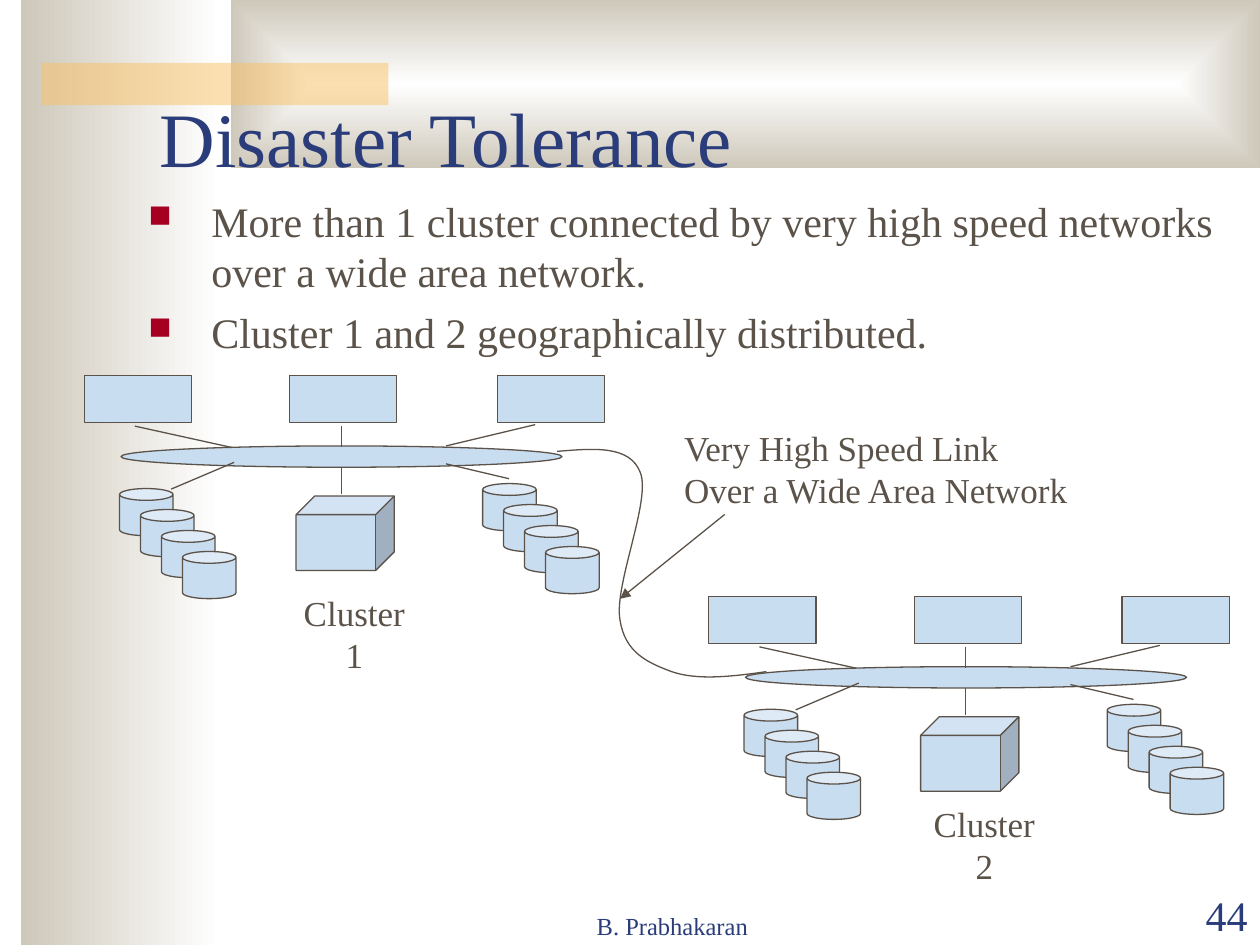
from lxml import etree
from pptx import Presentation
from pptx.dml.color import RGBColor
from pptx.enum.shapes import MSO_CONNECTOR, MSO_SHAPE
from pptx.enum.text import MSO_ANCHOR, MSO_AUTO_SIZE, PP_ALIGN
from pptx.oxml.ns import qn
from pptx.util import Cm, Pt

RECT, OVAL = MSO_SHAPE.RECTANGLE, MSO_SHAPE.OVAL
CAN, CUBE = MSO_SHAPE.CAN, MSO_SHAPE.CUBE
STRAIGHT = MSO_CONNECTOR.STRAIGHT
TOP, MIDDLE, BOTTOM = MSO_ANCHOR.TOP, MSO_ANCHOR.MIDDLE, MSO_ANCHOR.BOTTOM
LEFT, CENTER, RIGHT = PP_ALIGN.LEFT, PP_ALIGN.CENTER, PP_ALIGN.RIGHT
FONT = "Times New Roman"
HUES = {"white": "FFFFFF", "sand": "CEC8BA", "gold": "FAC164", "navy": "2A3D7A",
        "brown": "5B5249", "sky": "C9DDF1", "red": "A50021"}


def hue(name):
    """Return the named colour."""
    return RGBColor.from_string(HUES[name])


def sub(parent, tag, **attrs):
    """Add an XML child with the given attributes."""
    return etree.SubElement(parent, qn(tag), attrs)


def style(para, size, color, align):
    """Set the font and alignment of a paragraph."""
    para.alignment = align
    para.font.name, para.font.size = FONT, Pt(size)
    para.font.color.rgb = hue(color)


def write(slide, box, lines, size, color="brown", align=LEFT, anchor=MIDDLE, wrap=False):
    """Add a text box with one paragraph for each line."""
    frame = slide.shapes.add_textbox(*map(Cm, box)).text_frame
    frame.word_wrap, frame.vertical_anchor = wrap, anchor
    frame.text = "\n".join(lines)
    for para in frame.paragraphs:
        style(para, size, color, align)
    return frame


def block(slide, kind, x, y, w, h, fill="sky", edge="brown"):
    """Add a flat preset shape, outlined if an edge colour is given."""
    shape = slide.shapes.add_shape(kind, Cm(x), Cm(y), Cm(w), Cm(h))
    shape.shadow.inherit = False
    shape.fill.solid()
    shape.fill.fore_color.rgb = hue(fill)
    if edge:
        shape.line.color.rgb, shape.line.width = hue(edge), Pt(0.75)
    else:
        shape.line.fill.background()
    return shape


def wire(slide, x1, y1, x2, y2):
    """Add a thin straight line."""
    line = slide.shapes.add_connector(STRAIGHT, Cm(x1), Cm(y1), Cm(x2), Cm(y2))
    line.line.color.rgb, line.line.width = hue("brown"), Pt(0.75)
    sub(line._element.spPr, "a:effectLst")
    return line


def fade(shape, angle):
    """Fill a shape with white turning to sand."""
    shape.fill.gradient()
    shape.fill.gradient_angle = angle
    for stop, place, name in zip(shape.fill.gradient_stops, (0, 1), ("white", "sand")):
        stop.position, stop.color.rgb = place, hue(name)


def decor(slide):
    """Draw the side band, the header band and the gold bar."""
    fade(block(slide, RECT, 0.43, 0, 4.01, 19.05, edge=None), 180)
    head = block(slide, RECT, 4.65, 0, 20.75, 3.39, edge=None)
    fade(head, 0)
    grad = head._element.spPr.find(qn("a:gradFill"))
    grad.remove(grad.find(qn("a:lin")))
    sub(sub(grad, "a:path", path="rect"), "a:fillToRect",
        l="50000", t="50000", r="50000", b="50000")
    bar = block(slide, RECT, 0.84, 1.27, 6.99, 0.85, "gold", None)
    sub(bar._element.spPr.find(".//" + qn("a:srgbClr")), "a:alpha", val="50000")


def heading(slide, box, text):
    """Place and format the title in front of the bands."""
    title = slide.shapes.title
    title.left, title.top, title.width, title.height = map(Cm, box)
    frame = title.text_frame
    frame.text = text
    frame.auto_size, frame.vertical_anchor = MSO_AUTO_SIZE.NONE, BOTTOM
    style(frame.paragraphs[0], 44, "navy", LEFT)
    slide.shapes._spTree.append(title._element)


def points(slide, box, lines):
    """Write the bulleted points."""
    frame = write(slide, box, lines, 24, anchor=TOP, wrap=True)
    for i, para in enumerate(frame.paragraphs):
        props = para._p.get_or_add_pPr()
        props.set("marL", str(Cm(1.27)))
        props.set("indent", str(-Cm(1.27)))
        marks = [etree.Element(qn(tag)) for tag in ("a:buClr", "a:buSzPct", "a:buChar")]
        sub(marks[0], "a:srgbClr", val=HUES["red"])
        marks[1].set("val", "75000")
        marks[2].set("char", "■")
        for place, mark in enumerate(marks):
            props.insert(place, mark)
        if i:
            para.space_before = Pt(6)


def cluster(slide, x, y, name, dx, dy):
    """Draw hosts, network ring, disks and storage from a top left corner."""
    for left, top in ((0.71, 2.28), (8.03, 2.18)):
        for i in range(4):
            step = 0.423 * i
            block(slide, CAN, x + left + step, y + top + step, 1.08, 0.95)
    block(slide, CUBE, x + 4.27, y + 2.43, 1.98, 1.5)
    block(slide, OVAL, x + 0.74, y + 1.42, 8.89, 0.43)
    for left in (0, 4.14, 8.33):
        block(slide, RECT, x + left, y, 2.16, 0.95)
    for x1, y1, x2, y2 in ((1.02, 1.02, 2.97, 1.45), (9.09, 0.99, 7.29, 1.42),
                           (5.18, 1.02, 5.18, 1.45), (1.75, 2.29, 3.02, 1.75),
                           (5.18, 2.39, 5.18, 1.85), (8.56, 2.08, 7.29, 1.78)):
        wire(slide, x + x1, y + y1, x + x2, y + y2)
    write(slide, (x + dx, y + dy, 3.07, 1.12), [name], 20, align=CENTER)


def curve(slide, x, y, knots):
    """Draw an open curve through cubic knots, three to a segment."""
    spots = [(Cm(x + a), Cm(y + b)) for a, b in knots]
    pen = slide.shapes.build_freeform(*spots[0])
    pen.add_line_segments(spots[1:], close=False)
    shape = pen.convert_to_shape()
    shape.shadow.inherit = False
    shape.fill.background()
    shape.line.color.rgb, shape.line.width = hue("brown"), Pt(0.75)
    track = shape._element.find(".//" + qn("a:path"))
    legs = track.findall(qn("a:lnTo"))
    for i in range(0, len(legs), 3):
        bend = sub(track, "a:cubicBezTo")
        for leg in legs[i:i + 3]:
            bend.append(leg[0])
            track.remove(leg)


def link(slide, x, y):
    """Draw the wide area link with its label and arrow."""
    curve(slide, x, y, ((0, 0.64), (0.74, 0.58), (1.47, 0.51), (1.68, 1.07),
                        (1.9, 1.63), (1.14, 3.35), (1.27, 4.04),
                        (1.37, 4.7), (1.83, 4.9), (2.31, 5.08),
                        (2.82, 5.26), (3.53, 5.18), (4.22, 5.08)))
    write(slide, (x + 2.31, y, 8.31, 1.96),
          ["Very High Speed Link", "Over a Wide Area Network"], 20)
    arrow = wire(slide, x + 3.38, y + 1.91, x + 1.27, y + 3.61)
    sub(arrow.line._get_or_add_ln(), "a:tailEnd", type="triangle")


def footer(slide, y):
    """Write the author and the slide number."""
    write(slide, (9.53, y, 8.05, 1.27), ["B. Prabhakaran"], 14, "navy", CENTER, BOTTOM, True)
    write(slide, (22.86, y, 2.54, 1.27), ["44"], 24, "navy", RIGHT, BOTTOM, True)


def main():
    """Build and save the slide."""
    deck = Presentation()
    deck.slide_width, deck.slide_height = Cm(25.4), Cm(19.05)
    slide = deck.slides.add_slide(deck.slide_layouts.get_by_name("Title Only"))
    decor(slide)
    heading(slide, (2.97, 0.64, 21.59, 3.18), "Disaster Tolerance")
    points(slide, (2.74, 3.81, 22.02, 13.97), [
        "More than 1 cluster connected by very high speed networks over a wide area network.",
        "Cluster 1 and 2 geographically distributed."])
    cluster(slide, 1.7, 7.57, "Cluster 1", 3.91, 4.65)
    cluster(slide, 14.29, 12.02, "Cluster 2", 4.02, 4.44)
    link(slide, 11.23, 8.46)
    footer(slide, 17.81)
    deck.save("out.pptx")


if __name__ == "__main__":
    main()
